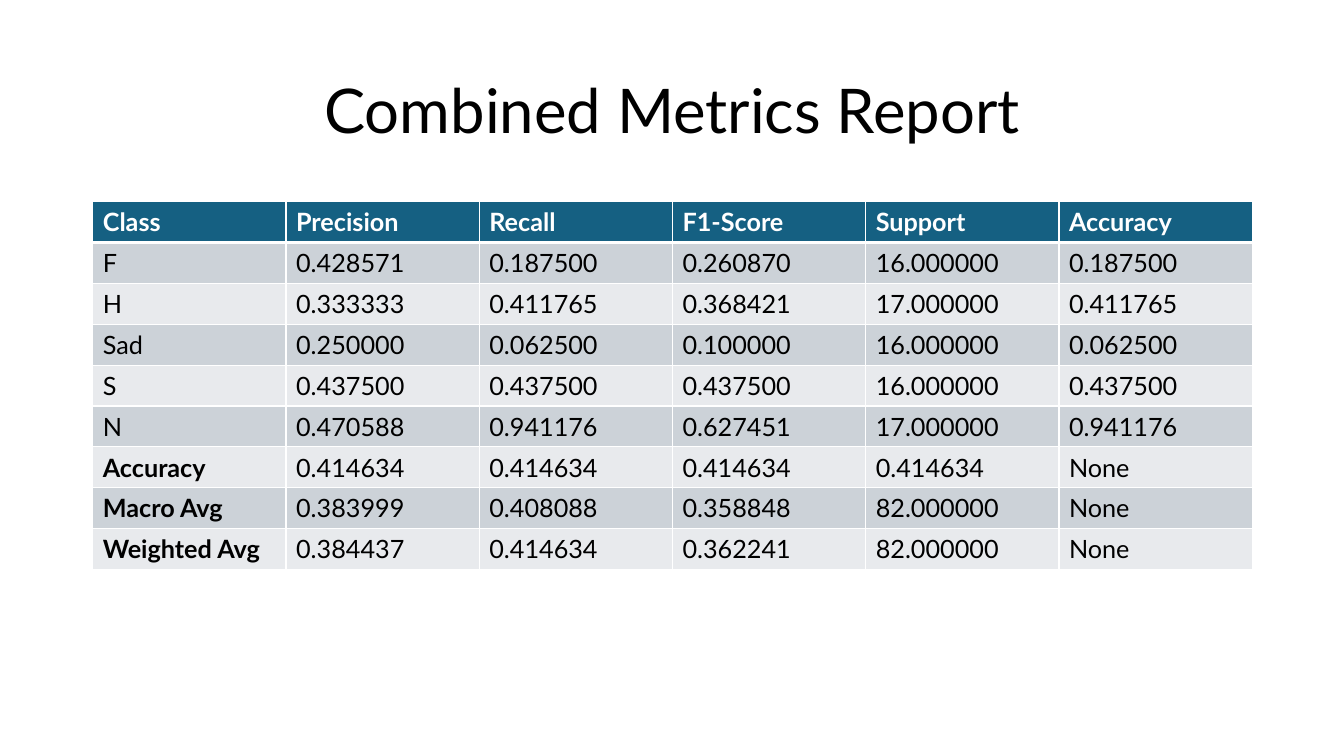
from lxml.etree import SubElement
from pptx import Presentation
from pptx.dml.color import RGBColor
from pptx.enum.text import MSO_ANCHOR, PP_ALIGN
from pptx.oxml.ns import qn
from pptx.util import Inches, Pt

FONT = "Lato"
BLACK, WHITE = "000000", "FFFFFF"
HEADER_FILL = "156082"
BAND_FILLS = ["E8EAED", "CCD2D8"]
SUMMARY_LABELS = {"Accuracy", "Macro Avg", "Weighted Avg"}
METRICS = [
    ["Class", "Precision", "Recall", "F1-Score", "Support", "Accuracy"],
    ["F", "0.428571", "0.187500", "0.260870", "16.000000", "0.187500"],
    ["H", "0.333333", "0.411765", "0.368421", "17.000000", "0.411765"],
    ["Sad", "0.250000", "0.062500", "0.100000", "16.000000", "0.062500"],
    ["S", "0.437500", "0.437500", "0.437500", "16.000000", "0.437500"],
    ["N", "0.470588", "0.941176", "0.627451", "17.000000", "0.941176"],
    ["Accuracy", "0.414634", "0.414634", "0.414634", "0.414634", "None"],
    ["Macro Avg", "0.383999", "0.408088", "0.358848", "82.000000", "None"],
    ["Weighted Avg", "0.384437", "0.414634", "0.362241", "82.000000", "None"],
]


def color(value):
    return RGBColor.from_string(value)


def style_font(para, size, hex_color, bold=False):
    para.font.name = FONT
    para.font.size = Pt(size)
    para.font.bold = bold
    para.font.color.rgb = color(hex_color)


def add_borders(cell, widths):
    properties = cell._tc.get_or_add_tcPr()
    for side, width in widths.items():
        line = SubElement(properties, qn(f"a:ln{side}"), w=str(Pt(width)))
        fill = SubElement(line, qn("a:solidFill"))
        SubElement(fill, qn("a:srgbClr"), val=WHITE)


def fill_cell(cell, text, row, column):
    header = row == 0
    add_borders(cell, {"L": 1, "R": 1, "T": 3 if row == 1 else 1, "B": 3 if header else 1})
    cell.fill.solid()
    cell.fill.fore_color.rgb = color(HEADER_FILL if header else BAND_FILLS[row % 2])
    cell.vertical_anchor = MSO_ANCHOR.MIDDLE
    cell.text = text
    bold = header or (column == 0 and text in SUMMARY_LABELS)
    style_font(cell.text_frame.paragraphs[0], 18, WHITE if header else BLACK, bold)


def place_title(page, text, left, top, width, height):
    title = page.shapes.title
    title.left, title.top = Inches(left), Inches(top)
    title.width, title.height = Inches(width), Inches(height)
    title.text_frame.text = text
    title.text_frame.word_wrap = True
    title.text_frame.vertical_anchor = MSO_ANCHOR.MIDDLE
    para = title.text_frame.paragraphs[0]
    para.alignment = PP_ALIGN.CENTER
    para.line_spacing = 0.9
    style_font(para, 44, BLACK)


def place_metrics_table(page, metrics, left, top, width, height):
    frame = page.shapes.add_table(
        len(metrics), len(metrics[0]),
        Inches(left), Inches(top), Inches(width), Inches(height),
    )
    for row, values in enumerate(metrics):
        for column, text in enumerate(values):
            fill_cell(frame.table.cell(row, column), text, row, column)


def main():
    deck = Presentation()
    deck.slide_width, deck.slide_height = Inches(13.33), Inches(7.5)
    page = deck.slides.add_slide(deck.slide_layouts[5])
    place_title(page, "Combined Metrics Report", 0.92, 0.4, 11.5, 1.45)
    place_metrics_table(page, METRICS, 0.92, 2, 11.5, 3.65)
    deck.save("out.pptx")


if __name__ == "__main__":
    main()
